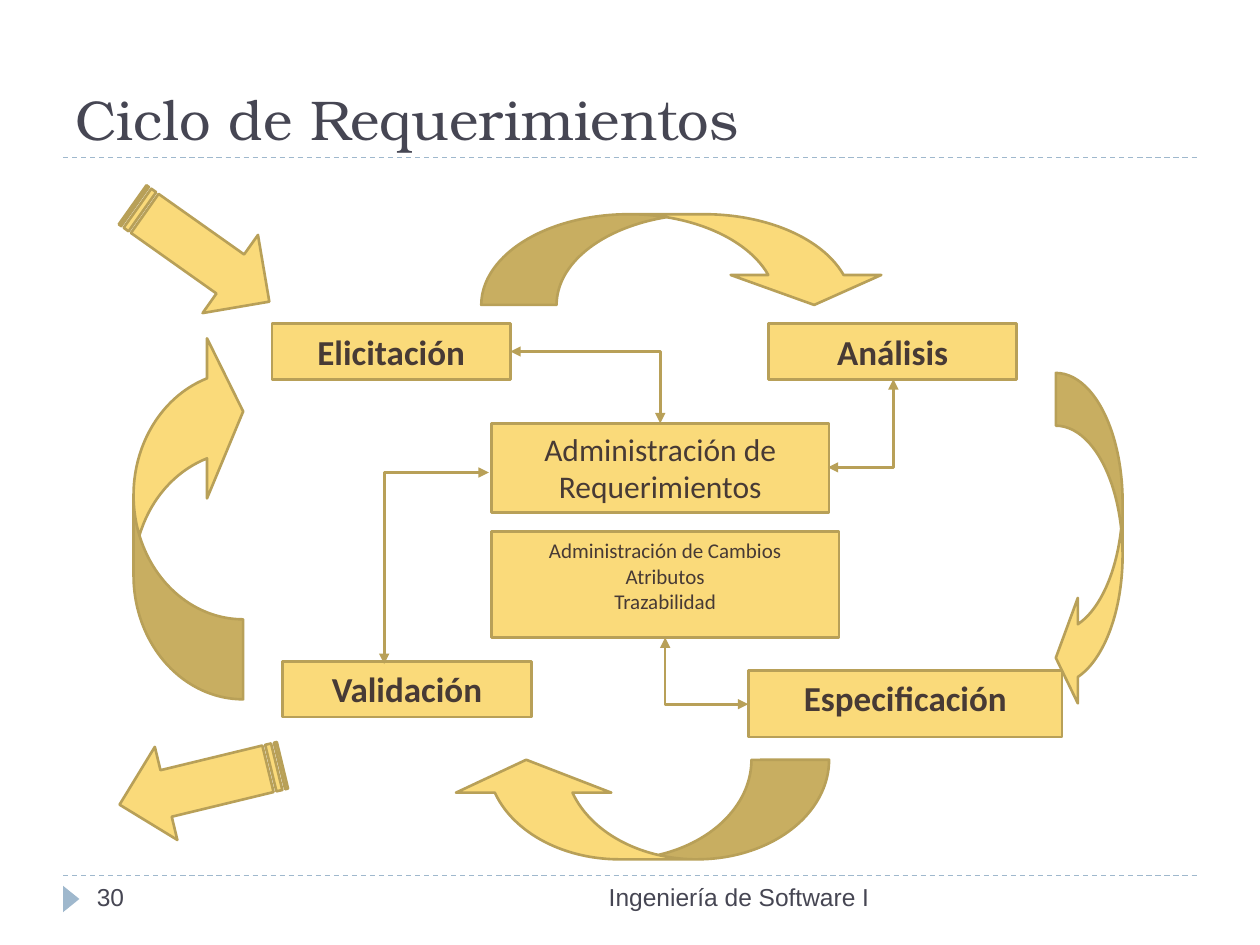
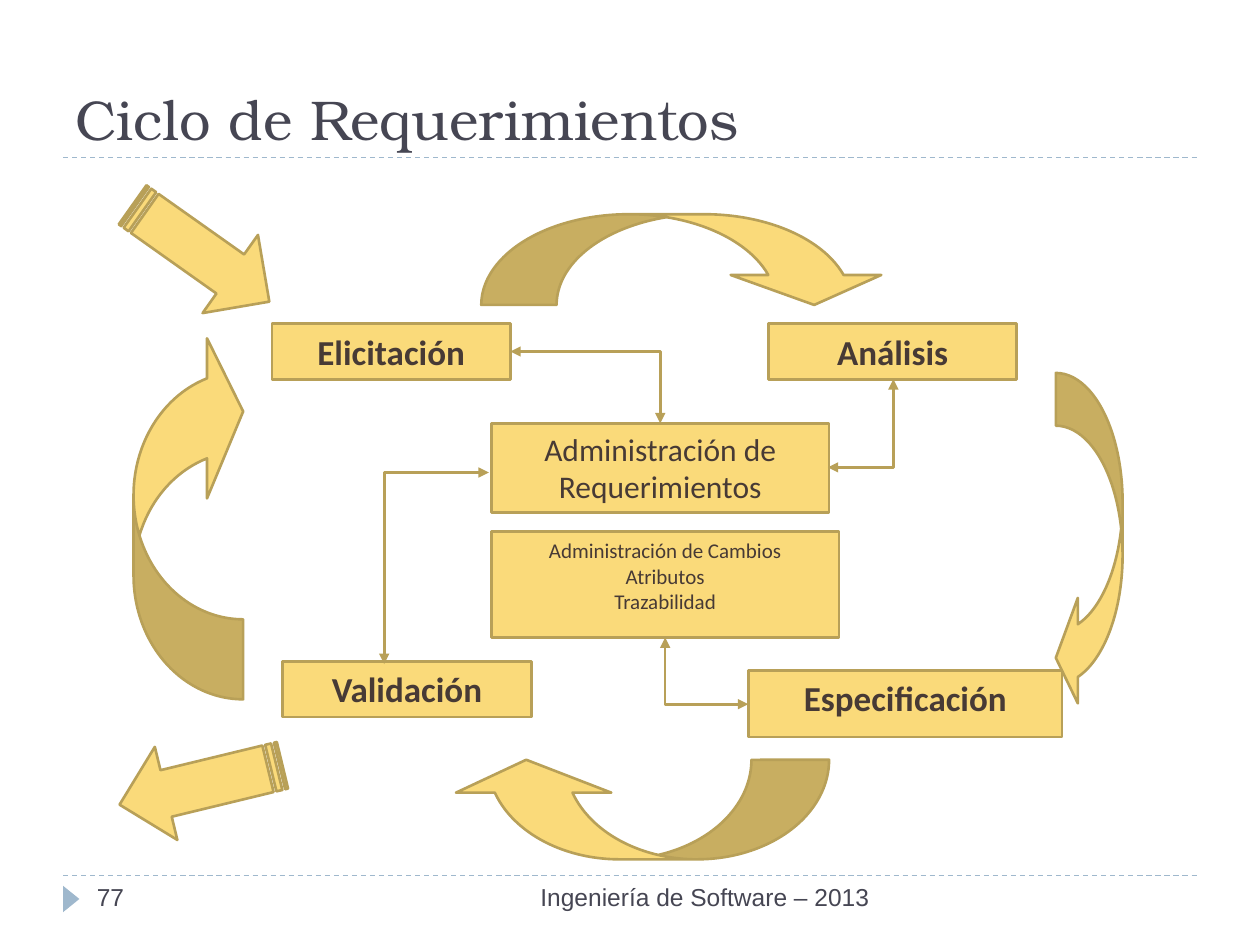
from dataclasses import dataclass

from lxml import etree
from pptx import Presentation
from pptx.dml.color import RGBColor
from pptx.enum.dml import MSO_LINE
from pptx.enum.shapes import MSO_CONNECTOR, MSO_SHAPE
from pptx.enum.text import MSO_ANCHOR, PP_ALIGN
from pptx.oxml.ns import qn
from pptx.util import Inches, Pt

RECTANGLE = MSO_SHAPE.RECTANGLE
TRIANGLE = MSO_SHAPE.ISOSCELES_TRIANGLE
STRIPED_ARROW = MSO_SHAPE.STRIPED_RIGHT_ARROW
DOWN_LOOP = MSO_SHAPE.CURVED_DOWN_ARROW
LEFT_LOOP = MSO_SHAPE.CURVED_LEFT_ARROW
STRAIGHT, ELBOW = MSO_CONNECTOR.STRAIGHT, MSO_CONNECTOR.ELBOW
DASH = MSO_LINE.DASH
LEFT, CENTER, RIGHT = PP_ALIGN.LEFT, PP_ALIGN.CENTER, PP_ALIGN.RIGHT
TOP, BOTTOM = MSO_ANCHOR.TOP, MSO_ANCHOR.BOTTOM

COLUMNS, ROWS = 100, 75
CELL = Inches(0.1)
GOLD, GOLD_EDGE, BROWN = "FADA7A", "B8A058", "473A35"
SLATE, BLUE = "464653", "9FB8CD"
TITLE_FONT, BODY_FONT, FOOTER_FONT = "TeX Gyre Bonum", "Calibri", "Arial"


@dataclass
class Region:
    left: float
    top: float
    width: float
    height: float

    def point(self, column, row):
        return round((self.left + column) * CELL), round((self.top + row) * CELL)

    def box(self, column, row, width, height):
        return *self.point(column, row), round(width * CELL), round(height * CELL)


TITLE = Region(5, 1.7, 90, 10.8)
DIAGRAM = Region(5, 12.5, 90, 57)
FOOTER = Region(5, 69.5, 90, 4)

STAGES = [
    ("Elicitación", (16.6, 13.2, 18.9, 4.4)),
    ("Especificación", (54.4, 40.7, 24.9, 5.3)),
    ("Análisis", (56, 13.2, 19.7, 4.4)),
    ("Validación", (17.4, 40, 19.8, 4.4)),
]
MANAGEMENT = [
    (["Administración de Requerimientos"], (34, 21.1, 26.8, 7.1), 18),
    (["Administración de Cambios", "Atributos", "Trazabilidad"],
     (34, 29.7, 27.6, 8.4), 12),
]
LOOPS = [
    (DOWN_LOOP, (33.2, 4.5, 32.4, 7.2), 0, 0.83),
    (LEFT_LOOP, (78.8, 17.1, 5.3, 26.8), 0, 0.79),
    (DOWN_LOOP, (30.6, 47.8, 30.2, 7.9), 180, 0.78),
    (LEFT_LOOP, (5.6, 13.8, 8.7, 29.2), 180, 0.73),
]
ENTRY_AND_EXIT = [(3.8, 35.3), (46, 166.4)]
LINKS = [
    ((35.5, 15.4), (47.4, 21.1)),
    ((60.7, 24.6), (65.9, 17.6)),
    ((54.4, 43.4), (47.8, 38.1)),
    ((33.8, 25), (25.5, 40.2)),
]


def color(value):
    return RGBColor.from_string(value)


def write(shape, lines, font_name, size, ink, alignment=LEFT, anchor=TOP, bold=False):
    frame = shape.text_frame
    frame.word_wrap = True
    frame.vertical_anchor = anchor
    frame.text = "\n".join(lines)
    for paragraph in frame.paragraphs:
        paragraph.alignment = alignment
        font = paragraph.font
        font.name, font.size, font.bold = font_name, Pt(size), bold
        font.color.rgb = color(ink)


def add_text(slide, box, text, font_name, size, **options):
    write(slide.shapes.add_textbox(*box), [text], font_name, size, SLATE, **options)


def add_filled(slide, kind, box, fill, edge=None, rotation=0):
    shape = slide.shapes.add_shape(kind, *box)
    shape.shadow.inherit = False
    shape.rotation = rotation
    shape.fill.solid()
    shape.fill.fore_color.rgb = color(fill)
    if edge:
        shape.line.color.rgb = color(edge)
        shape.line.width = Pt(1.5)
    else:
        shape.line.fill.background()
    return shape


def add_line(slide, kind, start, end, ink, width):
    connector = slide.shapes.add_connector(kind, *start, *end)
    connector.line.color.rgb = color(ink)
    connector.line.width = Pt(width)
    etree.SubElement(connector._element.spPr, qn("a:effectLst"))
    return connector


def add_divider(slide, region, row):
    line = add_line(slide, STRAIGHT, region.point(0, row),
                    region.point(region.width, row), BLUE, 0.75)
    line.line.dash_style = DASH


def add_link(slide, start, end):
    connector = add_line(slide, ELBOW, start, end, GOLD_EDGE, 1.5)
    connector._element.spPr.find(qn("a:prstGeom")).set("prst", "bentConnector2")
    outline = connector.line._get_or_add_ln()
    for tag in ("a:headEnd", "a:tailEnd"):
        etree.SubElement(outline, qn(tag), type="triangle")


def add_title(slide, region):
    add_divider(slide, region, region.height)
    add_text(slide, region.box(0, 0, region.width, region.height),
             "Ciclo de Requerimientos", TITLE_FONT, 32, anchor=BOTTOM)


def add_footer(slide, region, number, course):
    add_divider(slide, region, 0)
    add_filled(slide, TRIANGLE, region.box(-0.4, 1.2, 2.1, 1.3), BLUE, rotation=90)
    add_text(slide, region.box(1.7, 0, 21.7, region.height), number, FOOTER_FONT, 14)
    add_text(slide, region.box(26.7, 0, 38.3, region.height), course,
             FOOTER_FONT, 14, alignment=RIGHT)


def add_cycle(slide, region):
    for name, box in STAGES:
        stage = add_filled(slide, RECTANGLE, region.box(*box), GOLD, GOLD_EDGE)
        write(stage, [name], BODY_FONT, 20, BROWN, CENTER, bold=True)
    for kind, box, rotation, thickness in LOOPS:
        loop = add_filled(slide, kind, region.box(*box), GOLD, GOLD_EDGE, rotation)
        for index, share in enumerate((thickness, 2 * thickness, 0.33)):
            loop.adjustments[index] = share
    for lines, box, size in MANAGEMENT:
        panel = add_filled(slide, RECTANGLE, region.box(*box), GOLD, GOLD_EDGE)
        write(panel, lines, BODY_FONT, size, BROWN, CENTER)
    for start, end in LINKS:
        add_link(slide, region.point(*start), region.point(*end))
    for row, rotation in ENTRY_AND_EXIT:
        add_filled(slide, STRIPED_ARROW, region.box(4.3, row, 13.3, 7.6),
                   GOLD, GOLD_EDGE, rotation)


def add_cycle_slide(presentation, number, course):
    slide = presentation.slides.add_slide(presentation.slide_layouts[6])
    add_title(slide, TITLE)
    add_cycle(slide, DIAGRAM)
    add_footer(slide, FOOTER, number, course)


def main():
    presentation = Presentation()
    presentation.slide_width = COLUMNS * CELL
    presentation.slide_height = ROWS * CELL
    add_cycle_slide(presentation, "30", "Ingeniería de Software I")
    add_cycle_slide(presentation, "77", "Ingeniería de Software – 2013")
    presentation.save("out.pptx")


if __name__ == "__main__":
    main()
